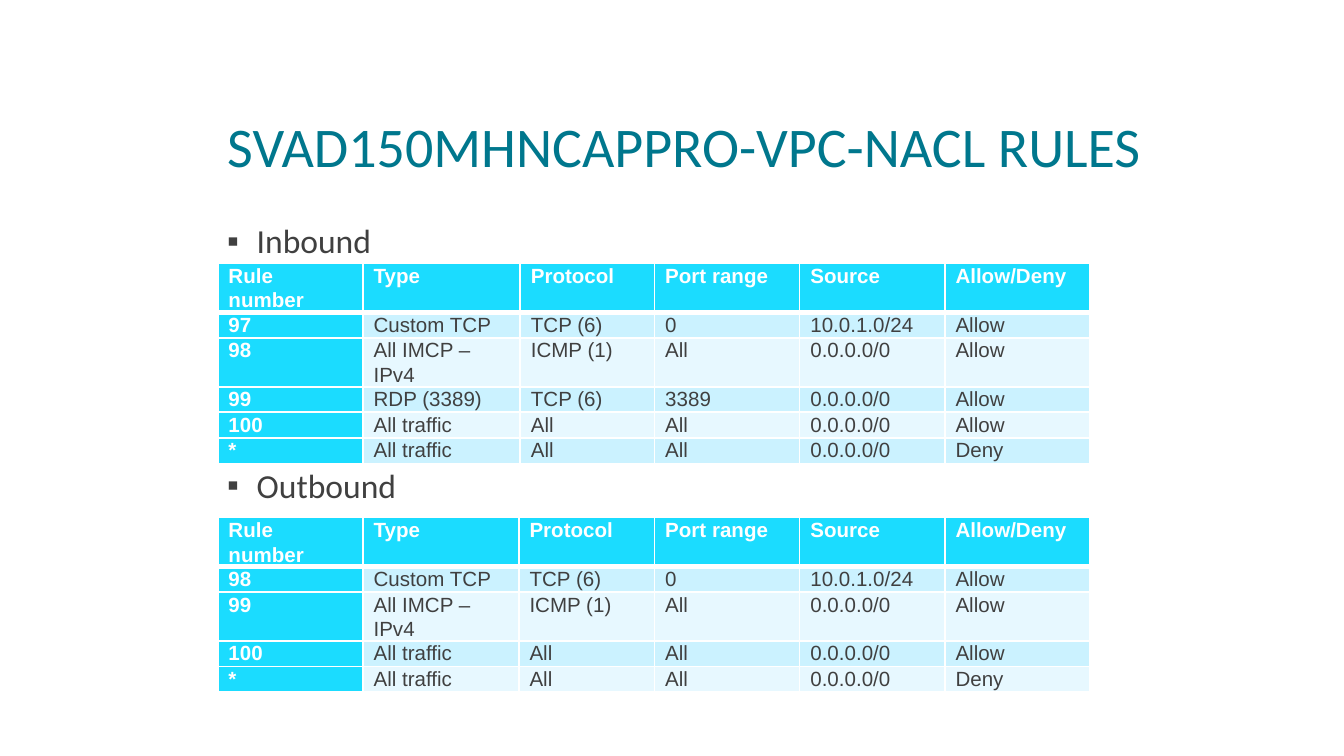
import pptx
import pptx.dml.color
import pptx.enum.text
import pptx.oxml
import pptx.oxml.ns
import pptx.util
from pptx.util import Inches

LEFT, WIDTH = 1.62, 7.69
TEAL, CYAN, GREY, WHITE = "00778D", "1BDCFF", "404040", "FFFFFF"
BANDS = ("CBF2FF", "E7F8FF")
ROW_HEIGHT = 0.19

HEADER = ("Rule number", "Type", "Protocol", "Port range", "Source", "Allow/Deny")
INBOUND = [
    HEADER,
    ("97", "Custom TCP", "TCP (6)", "0", "10.0.1.0/24", "Allow"),
    ("98", "All IMCP – IPv4", "ICMP (1)", "All", "0.0.0.0/0", "Allow"),
    ("99", "RDP (3389)", "TCP (6)", "3389", "0.0.0.0/0", "Allow"),
    ("100", "All traffic", "All", "All", "0.0.0.0/0", "Allow"),
    ("*", "All traffic", "All", "All", "0.0.0.0/0", "Deny"),
]
OUTBOUND = [
    HEADER,
    ("98", "Custom TCP", "TCP (6)", "0", "10.0.1.0/24", "Allow"),
    ("99", "All IMCP – IPv4", "ICMP (1)", "All", "0.0.0.0/0", "Allow"),
    ("100", "All traffic", "All", "All", "0.0.0.0/0", "Allow"),
    ("*", "All traffic", "All", "All", "0.0.0.0/0", "Deny"),
]


def rgb(color):
    return pptx.dml.color.RGBColor.from_string(color)


def write(tf, text, size, color, font="Calibri", bold=False, spacing=0.9):
    """Write text as the first paragraph of a text frame and return it."""
    p = tf.paragraphs[0]
    p.alignment = pptx.enum.text.PP_ALIGN.LEFT
    p.line_spacing = spacing
    p.space_before = pptx.util.Pt(0)
    r = p.add_run()
    r.text = text
    r.font.size = pptx.util.Pt(size)
    r.font.name = font
    r.font.bold = bold
    r.font.color.rgb = rgb(color)
    return p


def set_frame(tf, anchor):
    tf.word_wrap = True
    tf.auto_size = pptx.enum.text.MSO_AUTO_SIZE.NONE
    tf.vertical_anchor = anchor
    tf.margin_left = tf.margin_right = Inches(0.07)
    tf.margin_top = tf.margin_bottom = Inches(0.04)


def add_bullet(p, char, color):
    pPr = p._p.get_or_add_pPr()
    pPr.set("marL", str(Inches(0.22)))
    pPr.set("indent", str(-Inches(0.22)))
    ns = pptx.oxml.ns.nsdecls("a")
    for xml in (
        f'<a:buClr {ns}><a:srgbClr val="{color}"/></a:buClr>',
        f'<a:buFont {ns} typeface="Arial"/>',
        f'<a:buChar {ns} char="{char}"/>',
    ):
        pPr.append(pptx.oxml.parse_xml(xml))


def set_title(s, text):
    sp = s.shapes.title
    sp.left, sp.top = Inches(LEFT), Inches(0.31)
    sp.width, sp.height = Inches(WIDTH), Inches(1.06)
    set_frame(sp.text_frame, pptx.enum.text.MSO_ANCHOR.BOTTOM)
    write(sp.text_frame, text, 30, TEAL, spacing=0.85)


def add_heading(s, text, top):
    sp = s.shapes.add_textbox(Inches(LEFT), Inches(top), Inches(WIDTH), Inches(0.41))
    set_frame(sp.text_frame, pptx.enum.text.MSO_ANCHOR.TOP)
    add_bullet(write(sp.text_frame, text, 18, GREY), "▪", GREY)


def set_borders(cell, top, bottom):
    """Draw white borders, with the top and bottom widths in points."""
    tcPr = cell._tc.get_or_add_tcPr()
    ns = pptx.oxml.ns.nsdecls("a")
    for side, width in (("L", 1), ("R", 1), ("T", top), ("B", bottom)):
        tcPr.append(pptx.oxml.parse_xml(
            f'<a:ln{side} {ns} w="{pptx.util.Pt(width)}"><a:solidFill>'
            f'<a:srgbClr val="{WHITE}"/></a:solidFill></a:ln{side}>'))


def fill_cell(cell, text, row, col):
    strong = row == 0 or col == 0
    set_borders(cell, top=3 if row == 1 else 1, bottom=3 if row == 0 else 1)
    cell.fill.solid()
    cell.fill.fore_color.rgb = rgb(CYAN if strong else BANDS[(row - 1) % 2])
    cell.margin_left = cell.margin_right = Inches(0.08)
    cell.margin_top = cell.margin_bottom = 0
    write(cell.text_frame, text, 11, WHITE if strong else GREY,
          font="Arial", bold=strong, spacing=1.07)


def add_rules_table(s, rules, top, col_widths):
    frame = s.shapes.add_table(
        len(rules), len(col_widths), Inches(LEFT), Inches(top),
        Inches(sum(col_widths)), Inches(ROW_HEIGHT * len(rules)))
    table = frame.table
    for column, width in zip(table.columns, col_widths):
        column.width = Inches(width)
    for i, rule in enumerate(rules):
        table.rows[i].height = Inches(ROW_HEIGHT)
        for j, text in enumerate(rule):
            fill_cell(table.cell(i, j), text, i, j)


def main():
    prs = pptx.Presentation()
    prs.slide_width = Inches(10)
    prs.slide_height = prs.slide_width * 9 // 16
    s = prs.slides.add_slide(prs.slide_layouts[5])
    set_title(s, "SVAD150MHNCAPPRO-VPC-NACL RULES")
    add_heading(s, "Inbound", 1.63)
    add_rules_table(s, INBOUND, 1.96, (1.08, 1.17, 1, 1.08, 1.08, 1.08))
    add_heading(s, "Outbound", 3.45)
    add_rules_table(s, OUTBOUND, 3.85, (1.08, 1.16, 1.01, 1.08, 1.08, 1.08))
    prs.save("out.pptx")


if __name__ == "__main__":
    main()
